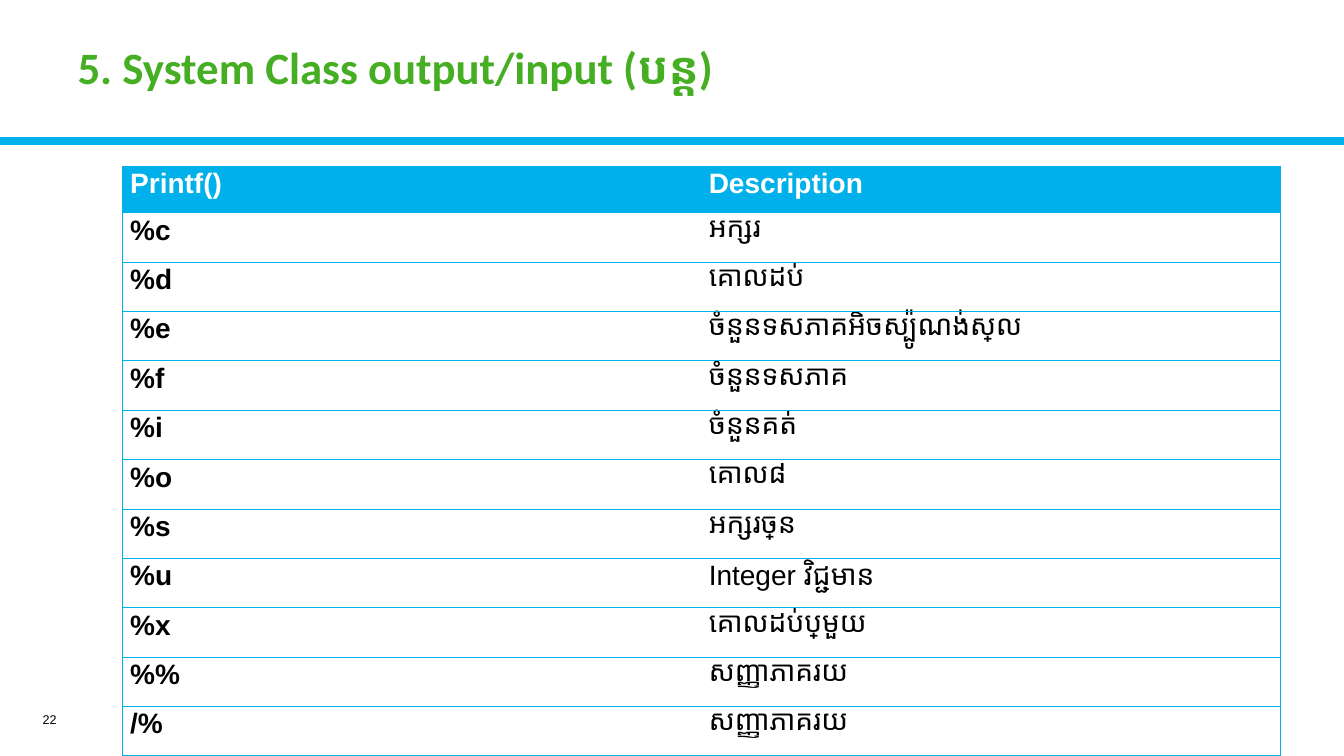
from lxml.etree import SubElement
from pptx import Presentation
from pptx.dml.color import RGBColor
from pptx.enum.shapes import MSO_CONNECTOR as Connector
from pptx.enum.text import MSO_ANCHOR as Anchor, PP_ALIGN as Align
from pptx.oxml.ns import qn
from pptx.util import Pt

BLUE = "00B0EA"
GREEN = "45AE22"
WHITE = "FFFFFF"
BLACK = "000000"
SLIDE_WIDTH, SLIDE_HEIGHT = 960, 540
HEADER_HEIGHT, ROW_HEIGHT = 33.1, 35.28
COLUMN_WIDTH = 413.3
FORMAT_CODES = [
    ("Printf()", "Description"),
    ("%c", "អក្សរ"),
    ("%d", "គោលដប់"),
    ("%e", "ចំនួនទសភាគអិចស្ប៉ូណង់ស្យែល"),
    ("%f", "ចំនួនទសភាគ"),
    ("%i", "ចំនួនគត់"),
    ("%o", "គោល៨"),
    ("%s", "អក្សរច្រើន"),
    ("%u", "Integer វិជ្ជមាន"),
    ("%x", "គោលដប់ប្រាំមួយ"),
    ("%%", "សញ្ញាភាគរយ"),
    ("/%", "សញ្ញាភាគរយ"),
]


def color(value):
    return RGBColor.from_string(value)


def place(shape, left, top, width, height):
    shape.left, shape.top = Pt(left), Pt(top)
    shape.width, shape.height = Pt(width), Pt(height)


def write(frame, text, size, font_name, font_color, bold=False, align=Align.LEFT, spacing=1.0):
    frame.text = text
    frame.word_wrap = True
    paragraph = frame.paragraphs[0]
    paragraph.alignment = align
    paragraph.line_spacing = spacing
    font = paragraph.font
    font.size, font.name, font.bold = Pt(size), font_name, bold
    font.color.rgb = color(font_color)


def add_rule(slide, top, width):
    rule = slide.shapes.add_connector(Connector.STRAIGHT, 0, Pt(top), Pt(SLIDE_WIDTH), Pt(top))
    rule.line.color.rgb = color(BLUE)
    rule.line.width = Pt(width)
    SubElement(rule.element.spPr, qn("a:effectLst"))


def add_title(slide, text):
    title = slide.shapes.title
    place(title, 48.2, 10.1, 865.4, 79.9)
    write(title.text_frame, text, 32, "Calibri", GREEN, bold=True, spacing=0.9)
    title.text_frame.vertical_anchor = Anchor.MIDDLE


def add_page_number(slide, text):
    box = slide.shapes.add_textbox(Pt(6.5), Pt(503.3), Pt(41), Pt(21.6))
    write(box.text_frame, text, 9, "Arial", BLACK, align=Align.RIGHT)
    box.text_frame.vertical_anchor = Anchor.MIDDLE


def set_borders(cell, visible_sides):
    properties = cell._tc.get_or_add_tcPr()
    for side in "LRTB":
        border = SubElement(properties, qn(f"a:ln{side}"), w=str(Pt(0.5)))
        if side in visible_sides:
            fill = SubElement(border, qn("a:solidFill"))
            SubElement(fill, qn("a:srgbClr"), val=BLUE)
        else:
            SubElement(border, qn("a:noFill"))


def format_cell(cell, text, is_header, is_code):
    cell.margin_left = cell.margin_right = Pt(5.4)
    cell.margin_top = cell.margin_bottom = 0
    write(cell.text_frame, text, 20, "Arial", WHITE if is_header else BLACK,
          bold=is_header or is_code, spacing=1.07)
    set_borders(cell, "LTB" if is_code else "RTB")
    if is_header:
        cell.fill.solid()
        cell.fill.fore_color.rgb = color(BLUE)
    else:
        cell.fill.background()


def add_format_table(slide, rows):
    height = HEADER_HEIGHT + ROW_HEIGHT * (len(rows) - 1)
    table = slide.shapes.add_table(
        len(rows), 2, Pt(87.6), Pt(118.8), Pt(2 * COLUMN_WIDTH), Pt(height)).table
    table.horz_banding = False
    for row_index, texts in enumerate(rows):
        is_header = row_index == 0
        table.rows[row_index].height = Pt(HEADER_HEIGHT if is_header else ROW_HEIGHT)
        for column_index, text in enumerate(texts):
            format_cell(table.cell(row_index, column_index), text, is_header, column_index == 0)


def main():
    presentation = Presentation()
    presentation.slide_width, presentation.slide_height = Pt(SLIDE_WIDTH), Pt(SLIDE_HEIGHT)
    slide = presentation.slides.add_slide(presentation.slide_layouts[5])
    add_rule(slide, 100.8, 6)
    add_title(slide, "5. System Class output/input (បន្ត)")
    add_page_number(slide, "22")
    add_format_table(slide, FORMAT_CODES)
    presentation.save("out.pptx")


if __name__ == "__main__":
    main()
